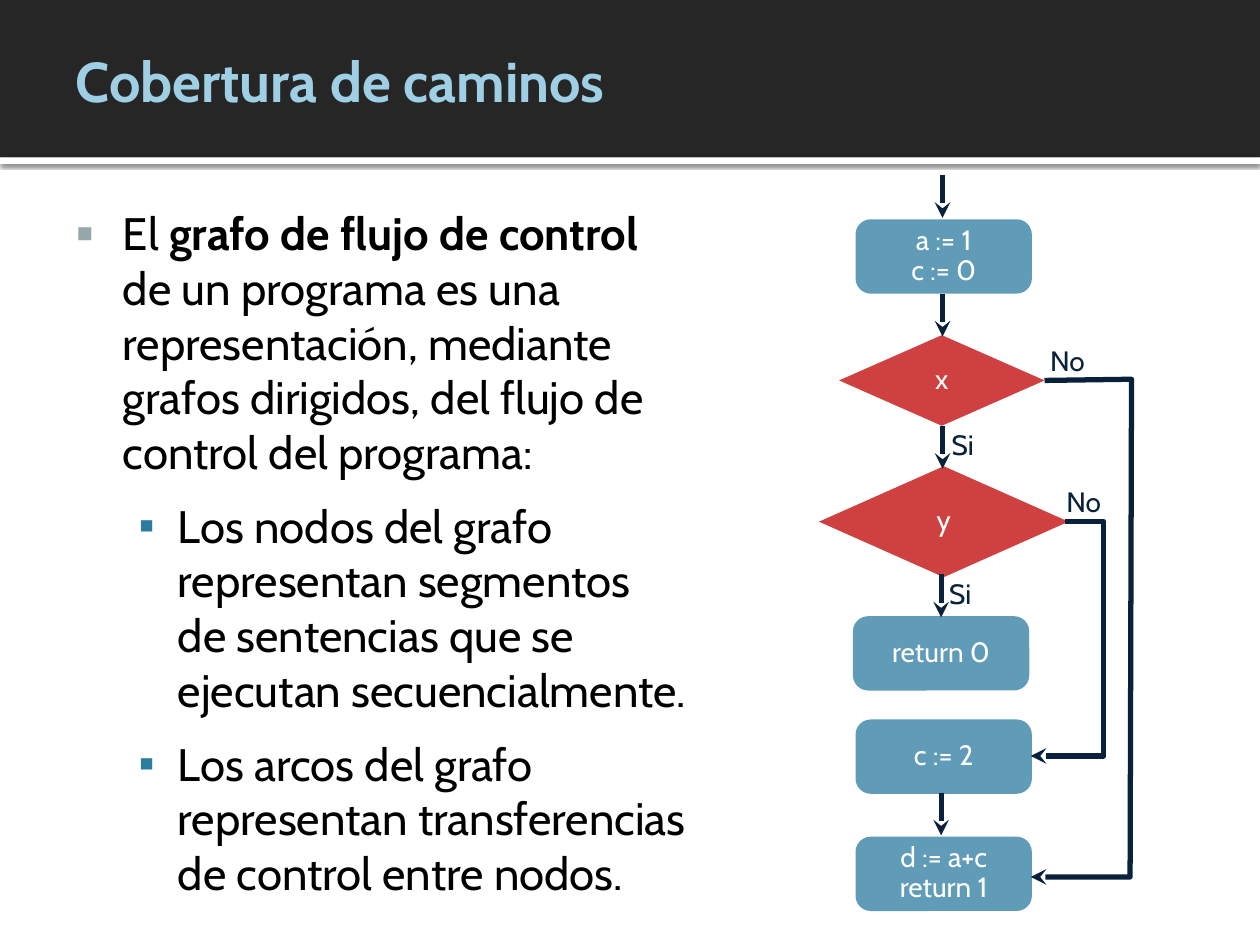
from lxml.etree import SubElement
from pptx import Presentation
from pptx.dml.color import RGBColor
from pptx.enum.shapes import MSO_CONNECTOR, MSO_SHAPE
from pptx.enum.text import MSO_ANCHOR, MSO_AUTO_SIZE, PP_ALIGN
from pptx.oxml.ns import qn
from pptx.util import Pt

FONT = "Cabin"
COLORS = {"band": "262626", "white": "FFFFFF", "title": "9FCFE4", "ink": "09213B",
          "step": "2C7C9F", "test": "C00000", "text": "000000", "bullet": "96A8AC"}
STEP_W, STEP_H, ARROW = 100.8, 42.5, 24.5


def rgb(name):
    """Return a palette colour."""
    return RGBColor.from_string(COLORS[name])


def place(shape, left, top, width, height):
    """Move and size a shape, in points."""
    shape.left, shape.top = Pt(left), Pt(top)
    shape.width, shape.height = Pt(width), Pt(height)


def add_run(paragraph, text, size, color, bold=False):
    """Add one formatted run."""
    run = paragraph.add_run()
    run.text = text
    run.font.name, run.font.size, run.font.bold = FONT, Pt(size), bold
    run.font.color.rgb = rgb(color)


def add_filled(slide, kind, box, color, alpha=None):
    """Add a preset shape with a plain fill, optionally translucent."""
    shape = slide.shapes.add_shape(kind, *map(Pt, box))
    shape.shadow.inherit = False
    shape.line.fill.background()
    shape.fill.solid()
    shape.fill.fore_color.rgb = rgb(color)
    if alpha:
        clr = shape._element.spPr.find(qn("a:solidFill"))[0]
        SubElement(clr, qn("a:alpha"), val=str(alpha * 1000))
    return shape


def write_centred(shape, lines, color):
    """Write tight, centred lines without insets."""
    frame = shape.text_frame
    frame.margin_left = frame.margin_right = frame.margin_top = frame.margin_bottom = 0
    frame.vertical_anchor = MSO_ANCHOR.MIDDLE
    for i, line in enumerate(lines):
        paragraph = frame.add_paragraph() if i else frame.paragraphs[0]
        paragraph.alignment, paragraph.line_spacing = PP_ALIGN.CENTER, 0.9
        add_run(paragraph, line, 16, color)


def style_flow(shape):
    """Give a line or route its ink, weight and arrowhead."""
    shape.line.color.rgb, shape.line.width = rgb("ink"), Pt(3)
    SubElement(shape.line._get_or_add_ln(), qn("a:tailEnd"), type="stealth")


def add_header(slide, left, top, width, height):
    """Draw the dark band with its shadowed edge, and the title."""
    band = add_filled(slide, MSO_SHAPE.RECTANGLE, (left, top, width, height), "band")
    edge = add_filled(slide, MSO_SHAPE.RECTANGLE, (left, top + height, width, 3.6), "white")
    effects = edge._element.spPr.find(qn("a:effectLst"))
    shadow = SubElement(effects, qn("a:outerShdw"), blurRad=str(Pt(2.5)),
                        dist=str(Pt(0.8)), dir="5400000", rotWithShape="0")
    SubElement(SubElement(shadow, qn("a:srgbClr"), val="000000"), qn("a:alpha"), val="60000")
    for depth, part in enumerate((band, edge), 2):
        slide.shapes._spTree.insert(depth, part._element)

    title = slide.shapes.title
    place(title, left + 36, top + 3, 522, height - 5)
    title.text_frame.vertical_anchor = MSO_ANCHOR.MIDDLE
    title.text_frame.auto_size = MSO_AUTO_SIZE.NONE
    heading = title.text_frame.paragraphs[0]
    heading.alignment = PP_ALIGN.LEFT
    add_run(heading, "Cobertura de caminos", 32, "title", True)


def set_bullet(paragraph, margin, hang, color, size):
    """Set the hanging indent and the square bullet."""
    props = paragraph._p.get_or_add_pPr()
    props.set("marL", str(Pt(margin)))
    props.set("indent", str(-Pt(hang)))
    SubElement(SubElement(props, qn("a:buClr")), qn("a:srgbClr"), val=COLORS[color])
    SubElement(props, qn("a:buSzPct"), val=str(size * 1000))
    SubElement(props, qn("a:buChar"), char="▪")


def add_definition(slide, left, top, width, height):
    """Fill the body placeholder with the definition and its two points."""
    body = slide.placeholders[1]
    place(body, left, top, width, height)
    frame = body.text_frame
    frame.vertical_anchor, frame.auto_size = MSO_ANCHOR.MIDDLE, MSO_AUTO_SIZE.NONE
    items = [
        (0, [("El ", False), ("grafo de flujo de control ", True),
             ("de un programa es una representación, mediante grafos dirigidos, "
              "del flujo de control del programa:", False)]),
        (1, [("Los nodos del grafo representan segmentos de sentencias que se "
              "ejecutan secuencialmente.", False)]),
        (1, [("Los arcos del grafo representan transferencias de control entre nodos.", False)]),
    ]
    bullets = [(27, 27, "bullet", 115), (58.5, 22.5, "step", 100)]
    for i, (level, runs) in enumerate(items):
        paragraph = frame.add_paragraph() if i else frame.paragraphs[0]
        paragraph.level, paragraph.space_after = level, Pt(6)
        set_bullet(paragraph, *bullets[level])
        for text, bold in runs:
            add_run(paragraph, text, 26, "text", bold)


def add_flow_graph(slide, left, top):
    """Draw the control flow graph from its top left corner."""
    for x, y, lines in [(20.9, 25.3, ["a := 1", "c := 0"]), (19.4, 252.1, ["return 0"]),
                        (20.9, 311.1, ["c := 2"]), (20.9, 378.1, ["d := a+c", "return 1"])]:
        step = add_filled(slide, MSO_SHAPE.ROUNDED_RECTANGLE,
                          (left + x, top + y, STEP_W, STEP_H), "step", 75)
        step.adjustments[0] = 0.205
        write_centred(step, lines, "white")

    for x, y, w, h, name in [(11.5, 91.5, 117.4, 51.8, "x"), (0, 166.4, 142.6, 63.4, "y")]:
        test = add_filled(slide, MSO_SHAPE.DIAMOND, (left + x, top + y, w, h), "test", 75)
        write_centred(test, [name], "white")

    for x, y in [(70.6, 0), (70.6, 67.8), (70.6, 143.4), (69.8, 228.3), (69.8, 352.9)]:
        arrow = slide.shapes.add_connector(
            MSO_CONNECTOR.STRAIGHT, Pt(left + x), Pt(top + y), Pt(left + x), Pt(top + y + ARROW))
        style_flow(arrow)
        SubElement(arrow._element.spPr, qn("a:effectLst"))

    for route in [[(128.9, 117.4), (178.6, 116.7), (177.8, 401.1), (121, 401.1)],
                  [(140.4, 198.1), (162.7, 198.1), (162.7, 332), (121, 332)]]:
        start, *rest = [(Pt(left + x), Pt(top + y)) for x, y in route]
        builder = slide.shapes.build_freeform(*start)
        builder.add_line_segments(rest, close=False)
        branch = builder.convert_to_shape()
        branch.shadow.inherit = False
        branch.fill.background()
        style_flow(branch)

    for x, y, w, answer in [(75.6, 146.2, 13, "Si"), (74.2, 231.2, 13, "Si"),
                            (131.8, 98, 20.2, "No"), (141.1, 178.6, 20.2, "No")]:
        label = slide.shapes.add_textbox(Pt(left + x), Pt(top + y), Pt(w), Pt(18))
        label.text_frame.word_wrap = False
        write_centred(label, [answer], "ink")


deck = Presentation()
deck.slide_width, deck.slide_height = Pt(720), Pt(540)
slide = deck.slides.add_slide(deck.slide_layouts[1])
add_header(slide, 0, 0, 720, 90)
add_definition(slide, 36, 111.6, 363.6, 408.2)
add_flow_graph(slide, 468, 100)
deck.save("out.pptx")
